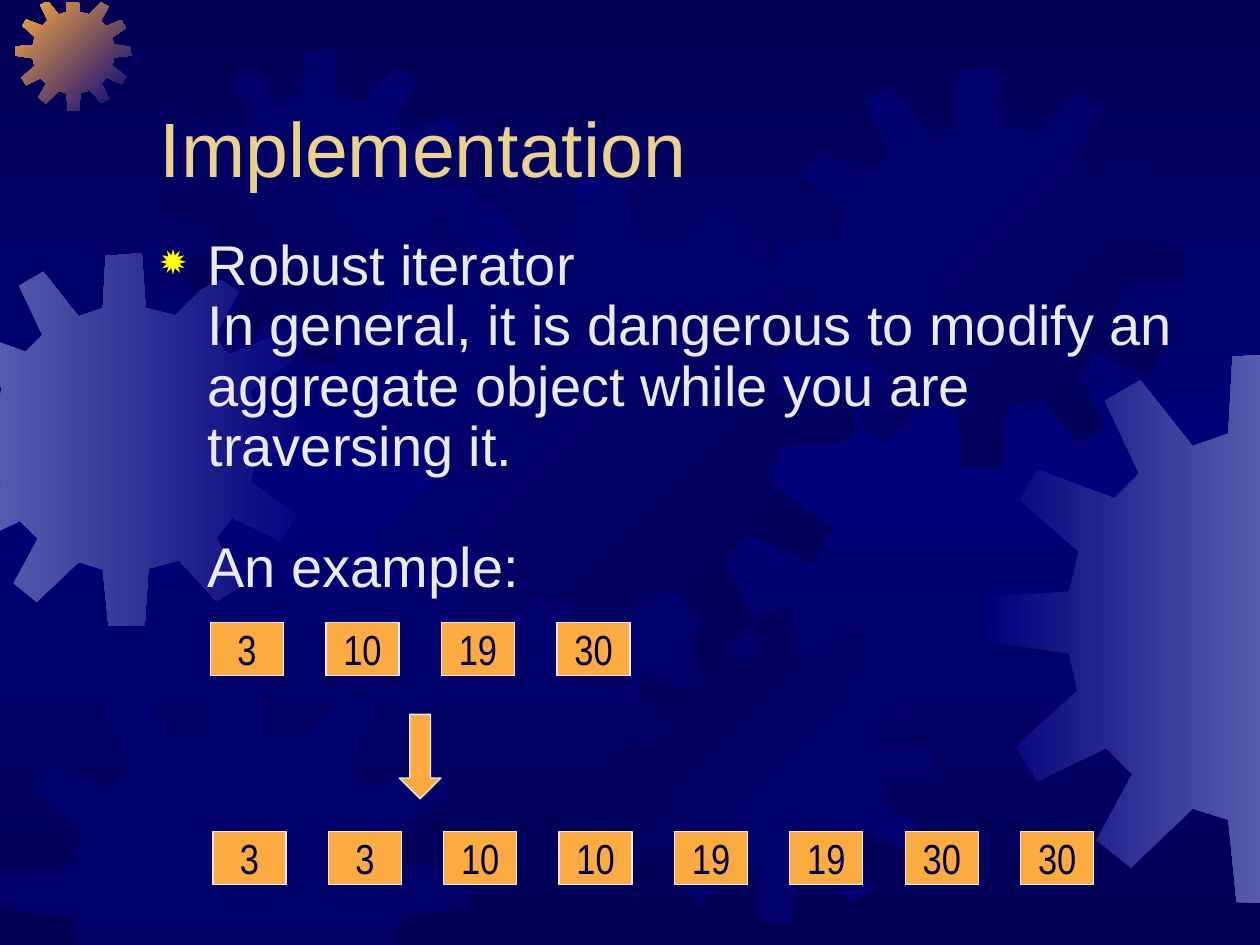
import collections
import dataclasses

import lxml.etree
import pptx
import pptx.dml.color
import pptx.enum.shapes
import pptx.enum.text
import pptx.oxml.ns
import pptx.util
import copy

Inches = pptx.util.Inches
Pt = pptx.util.Pt
RGB = pptx.dml.color.RGBColor.from_string
qn = pptx.oxml.ns.qn
MSO_SHAPE = pptx.enum.shapes.MSO_SHAPE
PP_ALIGN = pptx.enum.text.PP_ALIGN
MSO_ANCHOR = pptx.enum.text.MSO_ANCHOR

Box = collections.namedtuple("Box", "x y w h")
Gear = collections.namedtuple("Gear", "x y size start end angle")


@dataclasses.dataclass(frozen=True)
class Theme:
    night: str = "000054"
    blue: str = "00007A"
    steel: str = "555BAD"
    orange: str = "FCAB40"
    gold: str = "EBD189"
    yellow: str = "FFFF00"
    pale: str = "EAEAEA"
    font: str = "Arial"
    narrow: str = "Arial Narrow"
    title: int = 44
    body: int = 32
    cell: int = 24
    line: float = 0.75


T = Theme()
SLIDE = Box(0, 0, 10, 7.5)
GEAR_AREA = Box(0, 0.02, 10, 7.48)

GEAR_SIZE = 4.01
GEAR_OUTLINE = [
    (2.55, 0.67), (2.23, 0.59), (2.19, 0), (1.8, 0.03), (1.77, 0.59), (1.51, 0.68),
    (1.13, 0.2), (0.87, 0.35), (1.12, 0.88), (0.94, 1.06), (0.38, 0.85), (0.25, 1.07),
    (0.68, 1.45), (0.61, 1.74), (0.01, 1.78), (0, 2.1), (0.61, 2.19), (0.67, 2.46),
    (0.22, 2.87), (0.38, 3.12), (0.88, 2.88), (1.07, 3.07), (0.81, 3.55), (1.06, 3.75),
    (1.51, 3.32), (1.77, 3.4), (1.83, 4), (2.22, 4.01), (2.26, 3.39), (2.59, 3.3),
    (2.99, 3.74), (3.25, 3.58), (2.99, 3.06), (3.16, 2.84), (3.68, 3.09), (3.84, 2.81),
    (3.36, 2.46), (3.42, 2.16), (4.01, 2.1), (4, 1.8), (3.41, 1.71), (3.35, 1.48),
    (3.83, 1.14), (3.67, 0.87), (3.13, 1.09), (2.96, 0.91), (3.23, 0.41), (2.97, 0.25),
]
GEARS = [
    Gear(-0.49, 2.01, 2.96, T.steel, T.blue, 0),
    Gear(0.12, -0.04, 0.92, T.orange, T.blue, 45),
    Gear(1.3, 0.39, 2.48, T.night, T.blue, 315),
    Gear(2.77, 1.39, 4.01, T.blue, T.night, 45),
    Gear(0, 5.25, 3.74, T.blue, None, 0),
    Gear(4.91, 4.84, 2.48, T.night, T.blue, 45),
    Gear(6.18, 0.53, 3.2, T.blue, T.night, 45),
    Gear(7.82, 2.8, 4.37, T.blue, T.steel, 0),
]


def set_all(obj, values):
    for name, value in values.items():
        setattr(obj, name, value)


def inches(box):
    return [Inches(v) for v in box]


def clip(points, area):
    limits = [(0, 1, area.x), (0, -1, area.x + area.w),
              (1, 1, area.y), (1, -1, area.y + area.h)]
    for axis, sign, limit in limits:
        kept = []
        for a, b in zip(points, points[1:] + points[:1]):
            da, db = sign * (a[axis] - limit), sign * (b[axis] - limit)
            if da >= 0:
                kept.append(a)
            if da * db < 0:
                t = da / (da - db)
                kept.append(tuple(m + t * (n - m) for m, n in zip(a, b)))
        points = kept
    return points


def set_gradient(fill, colors, angle):
    fill.gradient()
    fill.gradient_angle = (360 - angle) % 360
    first = fill.gradient_stops[0]._gs
    for _ in colors[2:]:
        first.addnext(copy.deepcopy(first))
    for i, (stop, color) in enumerate(zip(fill.gradient_stops, colors)):
        stop.color.rgb = RGB(color)
        stop.position = i / (len(colors) - 1)


def add_gear(slide, gear, area):
    k = gear.size / GEAR_SIZE
    outline = [(gear.x + x * k, gear.y + y * k) for x, y in GEAR_OUTLINE]
    points = [(Inches(x), Inches(y)) for x, y in clip(outline, area)]
    builder = slide.shapes.build_freeform(*points[0])
    builder.add_line_segments(points[1:], close=True)
    sp = builder.convert_to_shape()
    sp.shadow.inherit = False
    sp.line.fill.background()
    if gear.end:
        set_gradient(sp.fill, [gear.start, gear.end], gear.angle)
    else:
        sp.fill.solid()
        sp.fill.fore_color.rgb = RGB(gear.start)
        color = sp.fill._xPr.find(".//" + qn("a:srgbClr"))
        lxml.etree.SubElement(color, qn("a:alpha"), val="50000")


def add_backdrop(slide, area):
    set_gradient(slide.background.fill, [T.night, T.blue, T.night], 90)
    for gear in GEARS:
        add_gear(slide, gear, area)


def write(sp, text, size, font, color, frame, para):
    tf = sp.text_frame
    set_all(tf, frame)
    p = tf.paragraphs[0]
    p.text = text
    set_all(p, para)
    for r in p.runs:
        set_all(r.font, {"size": Pt(size), "name": font})
        r.font.color.rgb = RGB(color)
    for br in p._p.findall(qn("a:br")):
        lxml.etree.SubElement(br, qn("a:rPr"), sz=str(size * 100))
    return p


def add_title(slide, box):
    sp = slide.shapes.add_textbox(*inches(box))
    write(sp, "Implementation", T.title, T.font, T.gold,
          {"word_wrap": True, "vertical_anchor": MSO_ANCHOR.BOTTOM}, {})


def add_body(slide, box):
    sp = slide.shapes.add_textbox(*inches(box))
    lines = ["Robust iterator",
             "In general, it is dangerous to modify an aggregate object "
             "while you are traversing it.", "", "An example:"]
    p = write(sp, "\v".join(lines), T.body, T.font, T.pale, {"word_wrap": True},
              {"line_spacing": 0.9, "space_before": Pt(8)})
    pPr = p._p.get_or_add_pPr()
    pPr.set("marL", str(Inches(0.38)))
    pPr.set("indent", str(-Inches(0.38)))
    color = lxml.etree.SubElement(pPr, qn("a:buClr"))
    lxml.etree.SubElement(color, qn("a:srgbClr"), val=T.yellow)
    lxml.etree.SubElement(pPr, qn("a:buSzPct"), val="80000")
    lxml.etree.SubElement(pPr, qn("a:buChar"), char="✹")


def add_orange_shape(slide, kind, box):
    sp = slide.shapes.add_shape(kind, *inches(box))
    sp.shadow.inherit = False
    sp.fill.solid()
    sp.fill.fore_color.rgb = RGB(T.orange)
    sp.line.color.rgb = RGB(T.pale)
    sp.line.width = Pt(T.line)
    return sp


def add_list_row(slide, box, values):
    cell_w = 0.58
    pitch = (box.w - cell_w) / (len(values) - 1)
    for i, value in enumerate(values):
        cell = Box(box.x + i * pitch, box.y, cell_w, box.h)
        sp = add_orange_shape(slide, MSO_SHAPE.RECTANGLE, cell)
        write(sp, str(value), T.cell, T.narrow, T.night,
              {"word_wrap": False, "vertical_anchor": MSO_ANCHOR.MIDDLE},
              {"alignment": PP_ALIGN.CENTER})


def main():
    prs = pptx.Presentation()
    set_all(prs, {"slide_width": Inches(SLIDE.w), "slide_height": Inches(SLIDE.h)})
    slide = prs.slides.add_slide(prs.slide_layouts[6])
    values = [3, 10, 19, 30]
    add_backdrop(slide, GEAR_AREA)
    add_title(slide, Box(1.17, 0.33, 8.5, 1.25))
    add_body(slide, Box(1.17, 1.83, 8.5, 3.25))
    add_list_row(slide, Box(1.67, 4.94, 3.33, 0.42), values)
    add_list_row(slide, Box(1.69, 6.6, 6.99, 0.42), [v for v in values for _ in range(2)])
    add_orange_shape(slide, MSO_SHAPE.DOWN_ARROW, Box(3.17, 5.67, 0.33, 0.67))
    prs.save("out.pptx")


if __name__ == "__main__":
    main()
